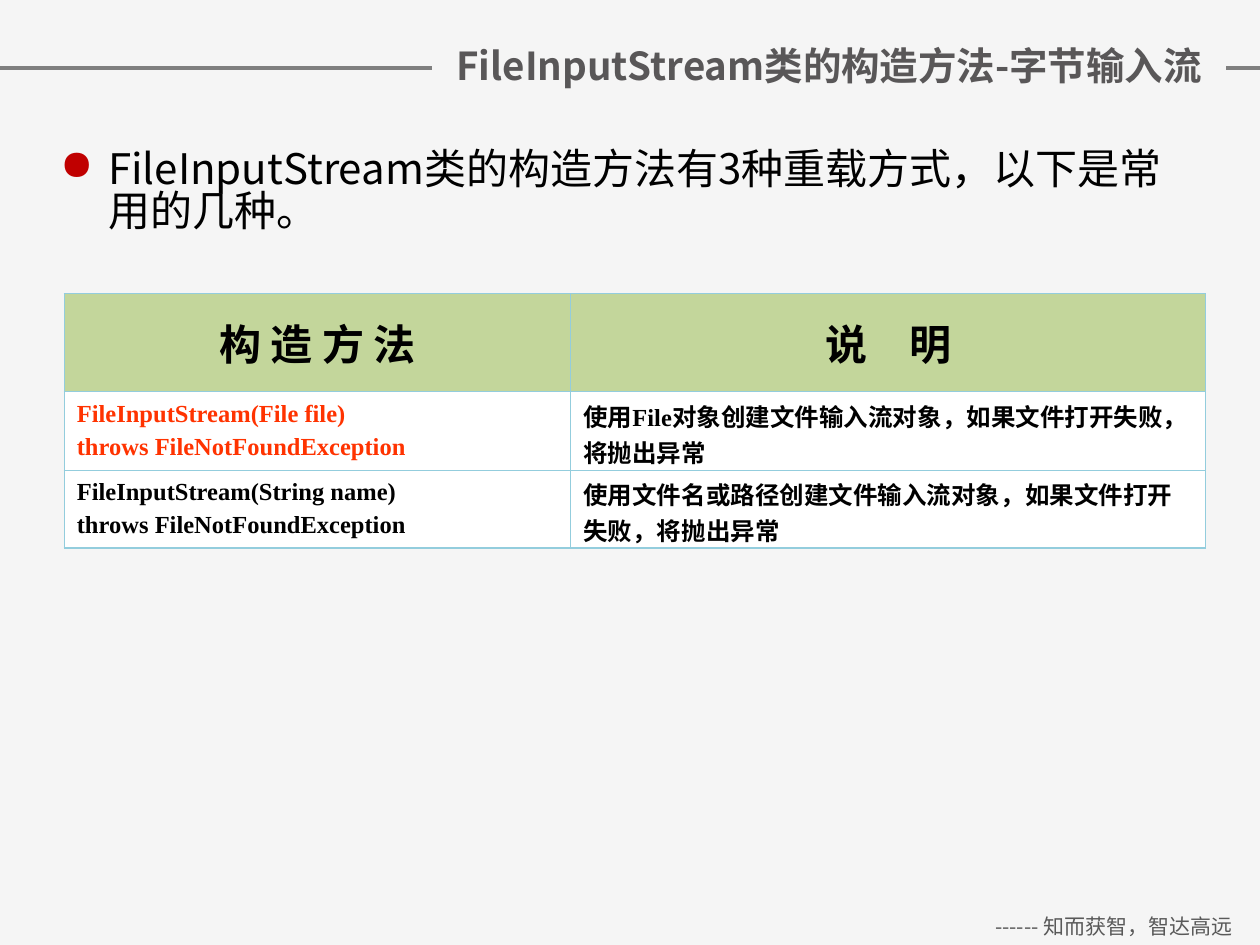
from dataclasses import dataclass

from lxml.etree import SubElement
from pptx import Presentation
from pptx.dml.color import RGBColor
from pptx.enum.shapes import MSO_CONNECTOR
from pptx.enum.text import MSO_ANCHOR, MSO_AUTO_SIZE, PP_ALIGN
from pptx.oxml.ns import qn
from pptx.slide import Slide
from pptx.util import Inches, Pt


def color(value):
    return RGBColor.from_string(value)


@dataclass
class LessonSlide:
    """Holds the lesson style and draws elements on the current slide."""

    slide: Slide
    sans: str = "Noto Sans CJK SC"
    serif: str = "Times New Roman"
    background: str = "F5F5F5"
    border: str = "93CDDD"
    bullet: str = "C00000"

    def paint_background(self):
        fill = self.slide.background.fill
        fill.solid()
        fill.fore_color.rgb = color(self.background)

    def fill_text(self, frame, text, size, ink, bold=False, latin=None,
                  align=PP_ALIGN.LEFT, line_spacing=None, gap=0):
        frame.text = text
        frame.word_wrap = True
        for index, paragraph in enumerate(frame.paragraphs):
            paragraph.alignment = align
            paragraph.space_before = Pt(gap if index else 0)
            if line_spacing:
                paragraph.line_spacing = line_spacing
            for run in paragraph.runs:
                run.font.size = Pt(size)
                run.font.bold = bold
                run.font.color.rgb = color(ink)
                run.font.name = latin or self.sans
                east_asian = SubElement(run.font._element, qn("a:ea"))
                east_asian.set("typeface", self.sans)

    def rule(self, top, ink, width):
        line = self.slide.shapes.add_connector(
            MSO_CONNECTOR.STRAIGHT, 0, Inches(top), Inches(10), Inches(top))
        line.line.color.rgb = color(ink)
        line.line.width = Pt(width)
        SubElement(line._element.spPr, qn("a:effectLst"))

    def title(self, text, left, top, width, height):
        shape = self.slide.shapes.title
        shape.left, shape.top = Inches(left), Inches(top)
        shape.width, shape.height = Inches(width), Inches(height)
        shape.fill.solid()
        shape.fill.fore_color.rgb = color(self.background)
        frame = shape.text_frame
        frame.auto_size = MSO_AUTO_SIZE.NONE
        frame.vertical_anchor = MSO_ANCHOR.MIDDLE
        self.fill_text(frame, text, 22, "595758", bold=True,
                       align=PP_ALIGN.CENTER, line_spacing=0.83)
        shape._element.getparent().append(shape._element)

    def text(self, text, left, top, width, height, size, ink, **style):
        box = self.slide.shapes.add_textbox(
            Inches(left), Inches(top), Inches(width), Inches(height))
        self.fill_text(box.text_frame, text, size, ink, **style)
        return box

    def bullet_text(self, text, left, top, width, height):
        box = self.text(text, left, top, width, height, 24, "000000",
                        line_spacing=0.83)
        for paragraph in box.text_frame.paragraphs:
            properties = paragraph._p.get_or_add_pPr()
            properties.set("marL", str(Inches(0.38)))
            properties.set("indent", str(Inches(-0.38)))
            bullet_color = SubElement(properties, qn("a:buClr"))
            SubElement(bullet_color, qn("a:srgbClr")).set("val", self.bullet)
            SubElement(properties, qn("a:buChar")).set("char", "●")

    def cell_borders(self, cell, outer_sides):
        properties = cell._tc.get_or_add_tcPr()
        for index, side in enumerate("LRTB"):
            width = 0.75 if side in outer_sides else 0.45
            line = properties.makeelement(
                qn(f"a:ln{side}"), {"w": str(Pt(width))})
            fill = SubElement(line, qn("a:solidFill"))
            SubElement(fill, qn("a:srgbClr")).set("val", self.border)
            properties.insert(index, line)

    def table(self, rows, inks, left, top, widths, heights):
        table = self.slide.shapes.add_table(
            len(rows), len(widths), Inches(left), Inches(top),
            Inches(sum(widths)), Inches(sum(heights))).table
        for column, width in zip(table.columns, widths):
            column.width = Inches(width)
        for r, (texts, row_inks) in enumerate(zip(rows, inks)):
            table.rows[r].height = Inches(heights[r])
            for c, (text, ink) in enumerate(zip(texts, row_inks)):
                cell = table.cell(r, c)
                cell.vertical_anchor = MSO_ANCHOR.MIDDLE
                cell.fill.solid()
                cell.fill.fore_color.rgb = color("FFFFFF" if r else "C3D69B")
                outer = {"L": c == 0, "R": c == len(widths) - 1,
                         "T": r == 0, "B": r == len(rows) - 1}
                self.cell_borders(cell, [s for s in outer if outer[s]])
                if r:
                    self.fill_text(cell.text_frame, text, 14, ink, bold=True,
                                   latin=self.serif, gap=3.5)
                else:
                    self.fill_text(cell.text_frame, text, 24, ink, bold=True,
                                   align=PP_ALIGN.CENTER)


def main():
    presentation = Presentation()
    presentation.slide_width = Inches(10)
    presentation.slide_height = Inches(7.5)
    lesson = LessonSlide(
        presentation.slides.add_slide(presentation.slide_layouts[5]))
    lesson.paint_background()
    lesson.rule(0.54, "7F7F7F", 2)
    lesson.text("------ 知而获智，智达高远", 7.68, 7.2, 2.32, 0.3, 12, "595959",
                align=PP_ALIGN.CENTER)
    lesson.title("FileInputStream类的构造方法-字节输入流", 3.43, 0.26, 6.3, 0.57)
    lesson.bullet_text(
        "FileInputStream类的构造方法有3种重载方式，以下是常用的几种。",
        0.38, 1.15, 9, 4.77)
    rows = [
        ("构 造 方 法", "说　明"),
        ("FileInputStream(File file)\nthrows FileNotFoundException",
         "使用File对象创建文件输入流对象，如果文件打开失败，将抛出异常"),
        ("FileInputStream(String name)\nthrows FileNotFoundException",
         "使用文件名或路径创建文件输入流对象，如果文件打开失败，将抛出异常"),
    ]
    black, red = "000000", "FF3300"
    inks = [(black, black), (red, black), (black, black)]
    lesson.table(rows, inks, 0.51, 2.33, [4.02, 5.04], [0.78, 0.62, 0.62])
    presentation.save("out.pptx")


if __name__ == "__main__":
    main()
